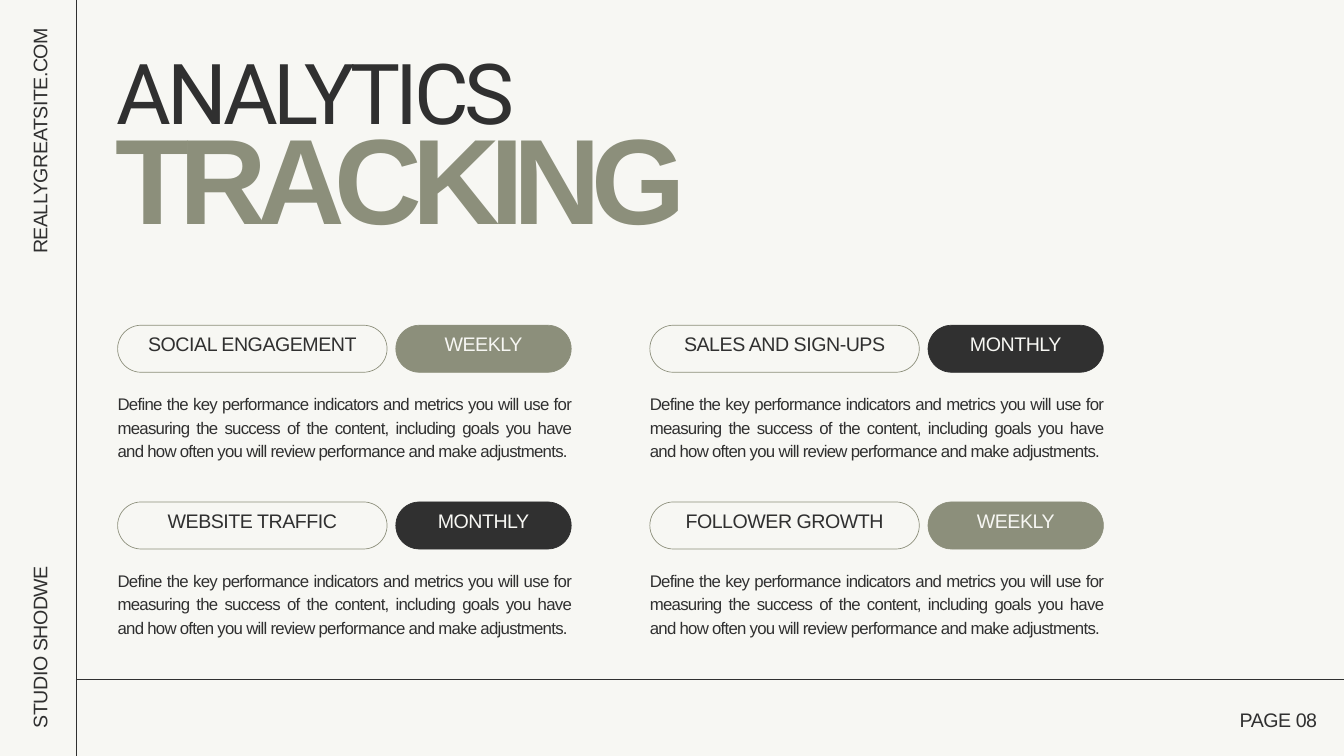
from lxml.etree import SubElement
from pptx import Presentation
from pptx.dml.color import RGBColor
from pptx.enum.shapes import MSO_CONNECTOR, MSO_SHAPE
from pptx.enum.text import MSO_ANCHOR, MSO_AUTO_SIZE, PP_ALIGN
from pptx.oxml.ns import qn
from pptx.util import Inches, Pt

PAPER = RGBColor(0xF7, 0xF7, 0xF3)
INK = RGBColor(0x30, 0x30, 0x30)
OLIVE = RGBColor(0x8C, 0x8F, 0x7B)

DESCRIPTION = (
    "Define the key performance indicators and metrics you will use for "
    "measuring the success of the content, including goals you have and "
    "how often you will review performance and make adjustments."
)
METRICS = [
    [("SOCIAL ENGAGEMENT", "WEEKLY"), ("SALES AND SIGN-UPS", "MONTHLY")],
    [("WEBSITE TRAFFIC", "MONTHLY"), ("FOLLOWER GROWTH", "WEEKLY")],
]
FREQUENCY_FILL = {"WEEKLY": OLIVE, "MONTHLY": INK}


def write(sp, text, size=21, color=INK, font="Arial", bold=False, align=PP_ALIGN.LEFT,
          leading=29.4, tracking=-0.5, anchor=MSO_ANCHOR.TOP, bottom=0):
    tf = sp.text_frame
    tf.word_wrap = True
    tf.auto_size = MSO_AUTO_SIZE.NONE
    tf.vertical_anchor = anchor
    tf.margin_left = tf.margin_right = tf.margin_top = 0
    tf.margin_bottom = Inches(bottom)
    p = tf.paragraphs[0]
    p.alignment = align
    p.line_spacing = Pt(leading)
    p.space_before = Pt(0)
    r = p.add_run()
    r.text = text
    r.font.name = font
    r.font.size = Pt(size)
    r.font.bold = bold
    r.font.color.rgb = color
    r._r.get_or_add_rPr().set("spc", str(round(tracking * 100)))


def add_text(s, text, x, y, w, h, rotation=0, **style):
    sp = s.shapes.add_textbox(Inches(x), Inches(y), Inches(w), Inches(h))
    sp.rotation = rotation
    write(sp, text, **style)


def add_rule(s, x1, y1, x2, y2):
    line = s.shapes.add_connector(
        MSO_CONNECTOR.STRAIGHT, Inches(x1), Inches(y1), Inches(x2), Inches(y2))
    line.line.color.rgb = INK
    line.line.width = Pt(0.75)
    SubElement(line._element.spPr, qn("a:effectLst"))


def add_pill(s, text, x, y, w, h, fill=None):
    sp = s.shapes.add_shape(
        MSO_SHAPE.ROUNDED_RECTANGLE, Inches(x), Inches(y), Inches(w), Inches(h))
    sp.adjustments[0] = 0.5
    sp.shadow.inherit = False
    if fill is None:
        sp.fill.background()
    else:
        sp.fill.solid()
        sp.fill.fore_color.rgb = fill
    sp.line.color.rgb = fill or OLIVE
    sp.line.width = Pt(0.75)
    # The bottom inset lifts the label slightly above the middle
    write(sp, text, color=PAPER if fill else INK, align=PP_ALIGN.CENTER,
          anchor=MSO_ANCHOR.MIDDLE, bottom=0.2)


def add_frame(s, x, y, w, h):
    # Margin rules
    add_rule(s, x, 0, x, h)
    add_rule(s, x, y, w, y)
    # Side labels, reading upwards
    add_text(s, "STUDIO SHODWE", -0.9, 9.18, 2.91, 0.4, rotation=270)
    add_text(s, "REALLYGREATSITE.COM", -1.25, 2.02, 3.61, 0.4, rotation=270,
             align=PP_ALIGN.RIGHT)
    # Page number
    add_text(s, "PAGE 08", w - 1.84, y + 0.36, 1.44, 0.4, align=PP_ALIGN.RIGHT)


def add_heading(s, x, y, w):
    title = s.shapes.title
    title.left, title.top = Inches(x), Inches(y)
    title.width, title.height = Inches(w), Inches(1.14)
    write(title, "ANALYTICS", size=90, font="Roboto", leading=63, tracking=-5)
    add_text(s, "TRACKING", x - 0.02, y + 1.13, w, 1.55, size=130, color=OLIVE,
             bold=True, leading=97.5, tracking=-10.7)


def add_metric(s, name, frequency, x, y, w):
    pill_h, name_w, frequency_w = 0.7, 4.01, 2.61
    add_pill(s, name, x, y, name_w, pill_h)
    add_pill(s, frequency, x + w - frequency_w, y, frequency_w, pill_h,
             FREQUENCY_FILL[frequency])
    add_text(s, DESCRIPTION, x, y + 0.97, w, 1.02, size=18, leading=25.2,
             tracking=-0.8, align=PP_ALIGN.JUSTIFY)


def add_metrics(s, x, y, column_step, row_step, w):
    for row, metrics in enumerate(METRICS):
        for column, (name, frequency) in enumerate(metrics):
            add_metric(s, name, frequency,
                       x + column * column_step, y + row * row_step, w)


def main():
    prs = Presentation()
    prs.slide_width, prs.slide_height = Inches(20), Inches(11.25)
    s = prs.slides.add_slide(prs.slide_layouts[5])
    s.background.fill.solid()
    s.background.fill.fore_color.rgb = PAPER

    add_frame(s, 1.13, 10.11, 20, 11.25)
    add_heading(s, 1.74, 1.22, 11.83)
    add_metrics(s, 1.75, 4.84, 7.92, 2.63, 6.75)
    prs.save("out.pptx")


if __name__ == "__main__":
    main()
